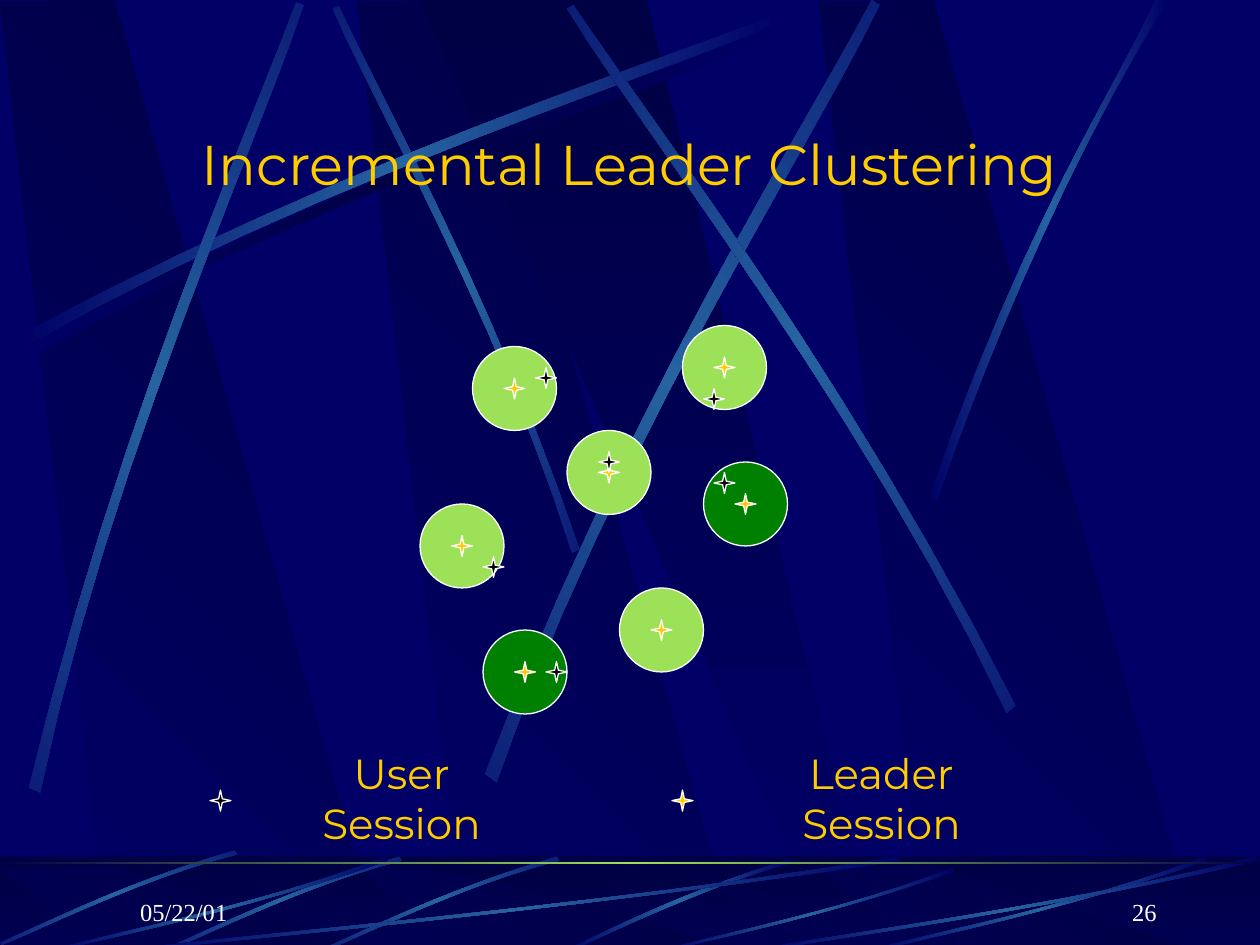
import math
from dataclasses import dataclass

import pptx
import pptx.dml.color
import pptx.enum.shapes
import pptx.enum.text
import pptx.oxml
import pptx.oxml.ns
import pptx.util

Pt = pptx.util.Pt
RGB = pptx.dml.color.RGBColor.from_string
SHAPE = pptx.enum.shapes.MSO_SHAPE
ALIGN = pptx.enum.text.PP_ALIGN
ANCHOR = pptx.enum.text.MSO_ANCHOR


@dataclass(frozen=True)
class Theme:
    navy: str = "000066"
    deep: str = "000044"
    beam: str = "2663A0"
    gold: str = "FFCC00"
    lime: str = "9CE157"
    green: str = "008000"
    black: str = "000000"
    white: str = "FFFFFF"
    heading_font: str = "Montserrat"
    footer_font: str = "Times New Roman"
    title_size: int = 32
    legend_size: int = 24
    footer_size: int = 14
    outline: float = 0.75


THEME = Theme()
SHADE = (THEME.deep, THEME.navy)
GLOW = (THEME.navy, THEME.beam, THEME.navy)
DUSK = (THEME.navy, THEME.deep, THEME.navy)

LONG_BEAM = [(10, 192.2), (200.2, 90), (373, 36.7), (446.4, 7.2),
             (448.6, 11.5), (375.8, 43.9), (178.6, 103), (12.2, 199.4)]
STEEP_BEAMS = [
    (45, [(331.2, 313.9), (281.5, 168.5), (217.4, 55.4), (193.7, 3.6),
          (190.1, 5), (212.4, 56.9), (286.6, 185.8), (326.9, 316.1)]),
    (0, LONG_BEAM),
    (311.7, [(16.6, 450), (67, 240.5), (141.8, 75.6), (169.2, 1.4),
             (173.5, 2.9), (149, 77.8), (61.9, 265), (23, 452.9)]),
    (321.6, [(277.2, 442.1), (358.6, 230.4), (459.4, 73.4), (498.2, 0),
             (502.6, 2.9), (467.3, 77.8), (349.9, 255.6), (283.7, 447.1)]),
    (34.8, [(580.3, 403.2), (482.4, 211), (371.5, 68.4), (327.6, 2.9),
            (324, 5), (365, 72.7), (493.2, 234), (575.3, 407.5)]),
    (0, [(531.4, 283), (586.1, 124.6), (639.4, 47.5), (660.2, 0),
         (667.4, 0), (601.9, 104.4), (553.7, 231.8), (535.7, 285.8)]),
]
FLOOR_BEAM = [(451.4, 491), (386.6, 510.5), (343.4, 534.2), (322.6, 542.9),
              (326.2, 543.6), (352.8, 530.6), (411.1, 504), (452.2, 493.2)]
FLOOR_STREAK = [(318.2, 489.6), (255.6, 507.6), (206.6, 532.8), (184.3, 542.2),
                (185, 543.6), (207.4, 535), (262.8, 506.2), (319.7, 491.8)]
SWEEP = [(1, 0.04), (0.57, 0.57), (0.17, 0.85), (0.01, 1),
         (0, 0.98), (0.17, 0.81), (0.62, 0.51), (0.99, 0)]
SWEEP_BOXES = [(72, 489.6, 444, 54), (30, 489.6, 192, 54), (379.5, 496, 166.3, 47.5),
               (498, 489.6, 192, 54), (432, 489.6, 288, 54)]

CLUSTERS = [(270, 198, THEME.lime), (240, 288, THEME.lime), (354, 336, THEME.lime),
            (390, 186, THEME.lime), (324, 246, THEME.lime),
            (402, 264, THEME.green), (276, 360, THEME.green)]
USER_SESSIONS = [(306, 210), (276, 318), (402, 222), (342, 258), (408, 270), (312, 378)]


def fill_gradient(shape, colours, angle):
    shape.fill.gradient()
    shape.fill.gradient_angle = angle
    stops = shape.fill._xPr.find(".//" + pptx.oxml.ns.qn("a:gsLst"))
    stops.clear()
    for index, colour in enumerate(colours):
        position = 100000 * index // (len(colours) - 1)
        stops.append(pptx.oxml.parse_xml(
            f'<a:gs {pptx.oxml.ns.nsdecls("a")} pos="{position}">'
            f'<a:srgbClr val="{colour}"/></a:gs>'))


def finish(shape, colour=None, outlined=False):
    shape.shadow.inherit = False
    if colour:
        shape.fill.solid()
        shape.fill.fore_color.rgb = RGB(colour)
    if outlined:
        shape.line.color.rgb = RGB(THEME.white)
        shape.line.width = Pt(THEME.outline)
    else:
        shape.line.fill.background()
    return shape


def add_preset(slide, kind, box, colour=None, outlined=False):
    shape = slide.shapes.add_shape(kind, *map(Pt, box))
    return finish(shape, colour, outlined)


def add_outline(slide, points, colours, angle):
    corners = [(Pt(x), Pt(y)) for x, y in points]
    builder = slide.shapes.build_freeform(*corners[0], scale=1.0)
    builder.add_line_segments(corners[1:], close=True)
    shape = finish(builder.convert_to_shape())
    fill_gradient(shape, colours, angle)
    return shape


def turn(point, degrees):
    x, y = point
    cos, sin = math.cos(math.radians(degrees)), math.sin(math.radians(degrees))
    return x * cos - y * sin, x * sin + y * cos


def curve(controls, steps=12):
    for step in range(steps + 1):
        t = step / steps
        weights = ((1 - t) ** 3, 3 * t * (1 - t) ** 2, 3 * t * t * (1 - t), t ** 3)
        yield tuple(sum(w * p[axis] for w, p in zip(weights, controls)) for axis in (0, 1))


def add_beam(slide, controls, colours=GLOW, rotation=0, shift=(0, 0)):
    edges = [*curve(controls[:4]), *curve(controls[4:])]
    level = [turn((x + shift[0], y + shift[1]), -rotation) for x, y in edges]
    beam = add_outline(slide, level, colours, 180)
    centre_x, centre_y = turn(
        (beam.left + beam.width / 2, beam.top + beam.height / 2), rotation)
    beam.left = round(centre_x - beam.width / 2)
    beam.top = round(centre_y - beam.height / 2)
    beam.rotation = rotation


def add_pillars(slide, top, height):
    bottom = top + height
    for left in (204, 0, 468):
        add_outline(slide, [(left + 62, bottom - 1), (left + 217.4, bottom),
                            (left + 65.5, top), (left, top + 1)], SHADE, 225)
    add_outline(slide, [(240, top), (474, bottom), (500, bottom), (369.5, top)], SHADE, 270)


def add_backdrop(slide):
    slide.background.fill.solid()
    slide.background.fill.fore_color.rgb = RGB(THEME.navy)
    add_pillars(slide, 0, 541.5)
    add_beam(slide, LONG_BEAM, DUSK, shift=(4.3, 5.8))
    for rotation, controls in STEEP_BEAMS:
        add_beam(slide, controls, rotation=rotation)

    floor = add_preset(slide, SHAPE.RECTANGLE, (0, 489.6, 720, 54))
    fill_gradient(floor, SHADE, 270)
    add_pillars(slide, 495.4, 48)
    veil = add_preset(slide, SHAPE.RECTANGLE, (0, 489, 720, 54), THEME.deep)
    tint = veil.fill._xPr.find(".//" + pptx.oxml.ns.qn("a:srgbClr"))
    tint.append(pptx.oxml.parse_xml(
        f'<a:alpha {pptx.oxml.ns.nsdecls("a")} val="50000"/>'))

    add_beam(slide, FLOOR_BEAM)
    for shift in ((0, 0), (-90, 0), (-184, -3.6)):
        add_beam(slide, FLOOR_STREAK, rotation=314.9, shift=shift)
    for left, top, width, height in SWEEP_BOXES:
        add_beam(slide, [(left + x * width, top + y * height) for x, y in SWEEP])
    horizon = add_preset(slide, SHAPE.RECTANGLE, (0, 492.5, 720, 1.5))
    fill_gradient(horizon, (THEME.deep, THEME.lime, THEME.deep), 180)


def write(holder, text, font, size, colour, align, anchor):
    frame = holder.text_frame
    frame.word_wrap = True
    frame.vertical_anchor = anchor
    frame.paragraphs[0].alignment = align
    run = frame.paragraphs[0].add_run()
    run.text = text
    run.font.name = font
    run.font.size = Pt(size)
    run.font.color.rgb = RGB(colour)


def add_title(slide, text):
    title = slide.shapes.title
    slide.shapes._spTree.append(title._element)
    title.left, title.top, title.width, title.height = map(Pt, (54, 70, 612, 46))
    write(title, text, THEME.heading_font, THEME.title_size, THEME.gold,
          ALIGN.CENTER, ANCHOR.MIDDLE)


def add_star(slide, left, top, colour):
    add_preset(slide, SHAPE.STAR_4_POINT, (left, top, 12, 12), colour, True)


def add_cluster(slide, left, top, colour):
    add_preset(slide, SHAPE.OVAL, (left, top, 48, 48), colour, True)
    add_star(slide, left + 18, top + 18, THEME.gold)


def add_legend(slide, star_left, colour, label_left, label_width, text):
    add_star(slide, star_left, 451.5, colour)
    label = slide.shapes.add_textbox(*map(Pt, (label_left, 438, label_width, 36)))
    write(label, text, THEME.heading_font, THEME.legend_size, THEME.gold,
          ALIGN.CENTER, ANCHOR.MIDDLE)


def add_footer(slide, left, text, align):
    footer = slide.shapes.add_textbox(*map(Pt, (left, 497, 150, 36)))
    write(footer, text, THEME.footer_font, THEME.footer_size, THEME.white,
          align, ANCHOR.BOTTOM)


def main():
    deck = pptx.Presentation()
    deck.slide_width, deck.slide_height = Pt(720), Pt(540)
    slide = deck.slides.add_slide(deck.slide_layouts[5])
    add_backdrop(slide)
    add_title(slide, "Incremental Leader Clustering")
    for left, top, colour in CLUSTERS:
        add_cluster(slide, left, top, colour)
    for left, top in USER_SESSIONS:
        add_star(slide, left, top, THEME.black)
    add_legend(slide, 120, THEME.black, 150.5, 158, "User Session")
    add_legend(slide, 384, THEME.gold, 412, 183.5, "Leader Session")
    add_footer(slide, 518, "26", ALIGN.RIGHT)
    add_footer(slide, 73, "05/22/01", ALIGN.LEFT)
    deck.save("out.pptx")


if __name__ == "__main__":
    main()
